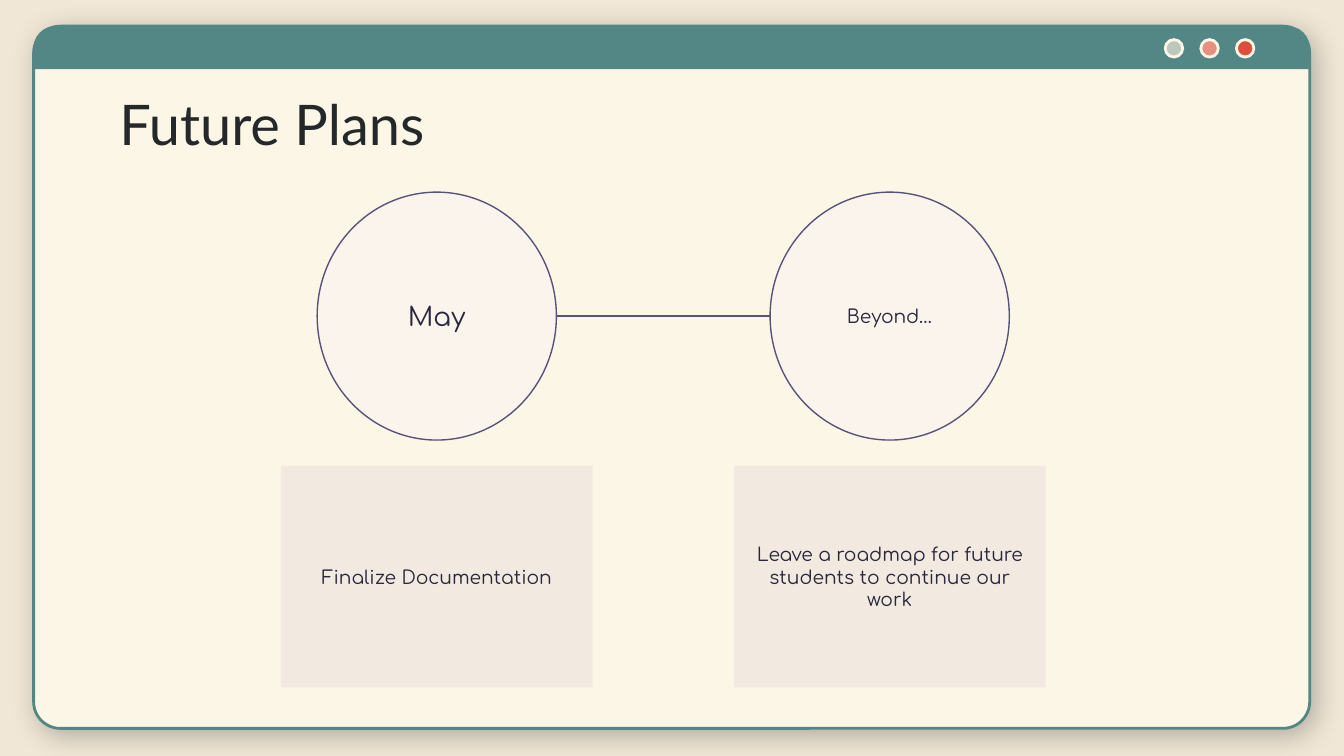
from dataclasses import dataclass

from lxml.etree import SubElement
from pptx import Presentation
from pptx.dml.color import RGBColor
from pptx.enum.shapes import MSO_CONNECTOR, MSO_SHAPE
from pptx.enum.text import MSO_ANCHOR, PP_ALIGN
from pptx.oxml.ns import qn
from pptx.shapes.autoshape import Shape
from pptx.slide import Slide
from pptx.text.text import TextFrame
from pptx.util import Emu, Pt

SCALE = 4572


@dataclass(frozen=True)
class Theme:
    back: str = "F1E7D6"
    page: str = "FCF6E7"
    teal: str = "538786"
    dots: tuple[str, ...] = ("BBC8BA", "E6907D", "DD4F3D")
    dark: str = "24282A"
    disc: str = "FAF4ED"
    card: str = "F2E9E1"
    edge: str = "575279"
    ink: str = "28273D"
    head: str = "Lato"
    body: str = "Comfortaa"
    title: float = 30
    large: float = 14
    small: float = 10
    thick: float = 1.5
    thin: float = 0.75


@dataclass(frozen=True)
class Box:
    left: int
    top: int
    width: int
    height: int

    def emu(self) -> tuple[Emu, ...]:
        return tuple(map(px, (self.left, self.top, self.width, self.height)))


@dataclass(frozen=True)
class Stage:
    mid: int
    label: str
    size: float
    note: str


THEME = Theme()
STAGES = (
    Stage(650, "May", THEME.large, "Finalize Documentation"),
    Stage(1324, "Beyond…", THEME.small,
          "Leave a roadmap for future students to continue our work"),
)
DISC = Box(-178, 286, 356, 369)
CARD = Box(-232, 693, 464, 330)


def px(count: int) -> Emu:
    return Emu(count * SCALE)


def tint(code: str) -> RGBColor:
    return RGBColor.from_string(code)


def shift(box: Box, mid: int) -> Box:
    return Box(box.left + mid, box.top, box.width, box.height)


def draw(slide: Slide, kind: MSO_SHAPE, box: Box, fill: str,
         edge: str | None = None, weight: float = 0) -> Shape:
    shape = slide.shapes.add_shape(kind, *box.emu())
    shape.fill.solid()
    shape.fill.fore_color.rgb = tint(fill)
    if edge:
        shape.line.color.rgb = tint(edge)
        shape.line.width = Pt(weight)
    else:
        shape.line.fill.background()
    shape.shadow.inherit = False
    return shape


def write(frame: TextFrame, text: str, face: str, size: float, ink: str,
          align: PP_ALIGN, anchor: MSO_ANCHOR) -> None:
    frame.word_wrap = True
    frame.vertical_anchor = anchor
    frame.margin_left = frame.margin_right = px(20)
    frame.margin_top = frame.margin_bottom = px(20)
    para = frame.paragraphs[0]
    para.text = text
    para.alignment = align
    para.font.name = face
    para.font.size = Pt(size)
    para.font.color.rgb = tint(ink)


def label(shape: Shape, text: str, size: float) -> None:
    write(shape.text_frame, text, THEME.body, size, THEME.ink,
          PP_ALIGN.CENTER, MSO_ANCHOR.MIDDLE)


def shade(shape: Shape) -> None:
    group = shape.element.spPr.find(qn("a:effectLst"))
    glow = SubElement(group, qn("a:outerShdw"), blurRad=str(Pt(14.6)),
                      dist=str(Pt(3.8)), dir=str(50 * 60000),
                      algn="bl", rotWithShape="0")
    color = SubElement(glow, qn("a:srgbClr"), val=THEME.dark)
    SubElement(color, qn("a:alpha"), val="30000")


def window(slide: Slide) -> None:
    page = draw(slide, MSO_SHAPE.ROUNDED_RECTANGLE, Box(50, 39, 1899, 1045),
                THEME.page, THEME.teal, THEME.thick)
    page.adjustments[0] = 0.038
    shade(page)
    bar = draw(slide, MSO_SHAPE.ROUND_2_SAME_RECTANGLE,
               Box(50, 39, 1899, 64), THEME.teal)
    bar.adjustments[0] = 0.5
    bar.adjustments[1] = 0
    for step, fill in enumerate(THEME.dots):
        draw(slide, MSO_SHAPE.OVAL, Box(1734 + 53 * step, 59, 26, 26),
             fill, THEME.page, THEME.thick)


def link(slide: Slide, start: int, end: int, level: int) -> None:
    line = slide.shapes.add_connector(
        MSO_CONNECTOR.STRAIGHT, px(start), px(level), px(end), px(level))
    line.line.color.rgb = tint(THEME.edge)
    line.line.width = Pt(THEME.thin)
    SubElement(line.element.spPr, qn("a:effectLst"))


def stage(slide: Slide, item: Stage) -> None:
    disc = draw(slide, MSO_SHAPE.OVAL, shift(DISC, item.mid),
                THEME.disc, THEME.edge, THEME.thin)
    label(disc, item.label, item.size)
    card = draw(slide, MSO_SHAPE.RECTANGLE, shift(CARD, item.mid), THEME.card)
    label(card, item.note, THEME.small)


def main() -> None:
    deck = Presentation()
    deck.slide_width, deck.slide_height = px(2000), px(1125)
    slide = deck.slides.add_slide(deck.slide_layouts[6])
    slide.background.fill.solid()
    slide.background.fill.fore_color.rgb = tint(THEME.back)
    window(slide)
    title = slide.shapes.add_textbox(*Box(158, 114, 1686, 126).emu())
    write(title.text_frame, "Future Plans", THEME.head, THEME.title,
          THEME.dark, PP_ALIGN.LEFT, MSO_ANCHOR.TOP)
    for item in STAGES:
        stage(slide, item)
    reach = DISC.width // 2
    first, last = STAGES
    link(slide, first.mid + reach, last.mid - reach,
         DISC.top + DISC.height // 2)
    deck.save("out.pptx")


if __name__ == "__main__":
    main()
